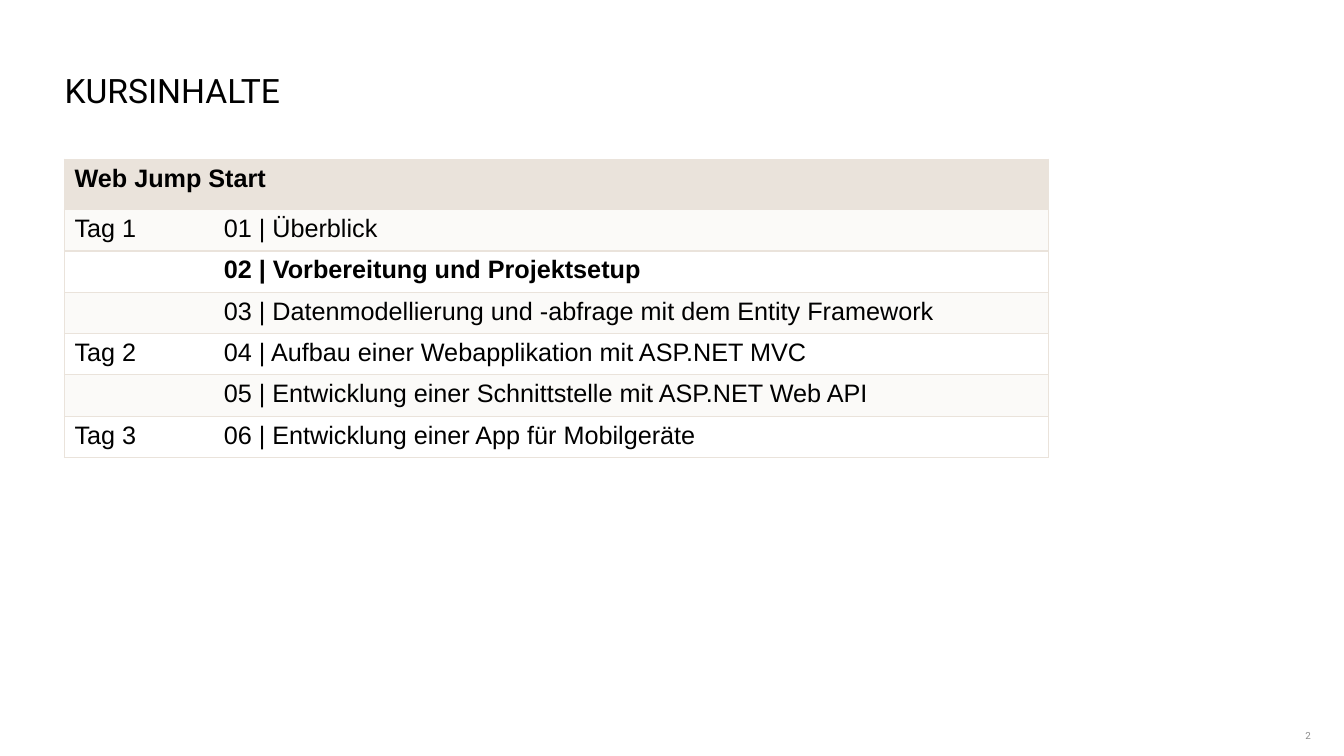
from dataclasses import dataclass

from lxml import etree
from pptx import Presentation
from pptx.dml.color import RGBColor
from pptx.enum.text import MSO_ANCHOR, PP_ALIGN
from pptx.oxml.ns import qn
from pptx.table import _Cell
from pptx.text.text import TextFrame
from pptx.util import Inches, Pt

LEFT, RIGHT = PP_ALIGN.LEFT, PP_ALIGN.RIGHT
BOTTOM, MIDDLE = MSO_ANCHOR.BOTTOM, MSO_ANCHOR.MIDDLE
TITLE_ONLY = 5
COLORS = {
    "text": "000000",
    "number": "8C8C8C",
    "sand": "EAE3DB",
    "band": "FBFAF8",
    "white": "FFFFFF",
}


@dataclass
class Lesson:
    day: str
    topic: str
    current: bool = False


LESSONS = [
    Lesson("Tag 1", "01 | Überblick"),
    Lesson("", "02 | Vorbereitung und Projektsetup", current=True),
    Lesson("", "03 | Datenmodellierung und -abfrage mit dem Entity Framework"),
    Lesson("Tag 2", "04 | Aufbau einer Webapplikation mit ASP.NET MVC"),
    Lesson("", "05 | Entwicklung einer Schnittstelle mit ASP.NET Web API"),
    Lesson("Tag 3", "06 | Entwicklung einer App für Mobilgeräte"),
]


def write(frame: TextFrame, text: str, font: str, size: float,
          color: str = "text", bold: bool = False) -> None:
    """Fill the first paragraph and set its font."""
    paragraph = frame.paragraphs[0]
    if text:
        paragraph.text = text
    paragraph.font.name = font
    paragraph.font.size = Pt(size)
    paragraph.font.bold = bold
    paragraph.font.color.rgb = RGBColor.from_string(COLORS[color])


def set_margins(frame: TextFrame, left: float, top: float,
                right: float, bottom: float) -> None:
    frame.margin_left, frame.margin_top = Inches(left), Inches(top)
    frame.margin_right, frame.margin_bottom = Inches(right), Inches(bottom)


def set_borders(cell: _Cell, visible: str) -> None:
    """Draw the named sides (L, R, T, B) and clear the others."""
    properties = cell._tc.get_or_add_tcPr()
    for index, side in enumerate("LRTB"):
        line = etree.Element(qn(f"a:ln{side}"), w=str(Pt(1)))
        if side in visible:
            fill = etree.SubElement(line, qn("a:solidFill"))
            etree.SubElement(fill, qn("a:srgbClr"), val=COLORS["sand"])
        else:
            etree.SubElement(line, qn("a:noFill"))
        properties.insert(index, line)


def fill_cell(cell: _Cell, text: str, fill: str, borders: str,
              bold: bool = False) -> None:
    cell.fill.solid()
    cell.fill.fore_color.rgb = RGBColor.from_string(COLORS[fill])
    set_borders(cell, borders)
    write(cell.text_frame, text, "Arial", 18, bold=bold)


deck = Presentation()
deck.slide_width, deck.slide_height = Inches(13.33), Inches(7.5)
page = deck.slides.add_slide(deck.slide_layouts[TITLE_ONLY])

# Title
title = page.shapes.title
title.left, title.top = Inches(0.64), Inches(0.25)
title.width, title.height = Inches(12.05), Inches(0.9)
set_margins(title.text_frame, 0, 0.05, 0.1, 0.05)
title.text_frame.vertical_anchor = BOTTOM
write(title.text_frame, "KURSINHALTE", "Roboto", 24)
heading = title.text_frame.paragraphs[0]
heading.alignment = LEFT
heading.line_spacing = 0.9

# Course table
table = page.shapes.add_table(
    len(LESSONS) + 1, 2, Inches(0.64), Inches(1.58), Inches(9.76), Inches(2.96)
).table
for column, width in zip(table.columns, (1.48, 8.28)):
    column.width = Inches(width)
for index, row in enumerate(table.rows):
    row.height = Inches(0.41 if index else 0.5)

header = table.cell(0, 0)
header.merge(table.cell(0, 1))
fill_cell(header, "Web Jump Start", "sand", "LRTB", bold=True)
set_borders(table.cell(0, 1), "RTB")

for number, lesson in enumerate(LESSONS, start=1):
    shade = "band" if number % 2 else "white"
    fill_cell(table.cell(number, 0), lesson.day, shade, "LTB")
    fill_cell(table.cell(number, 1), lesson.topic, shade, "RTB", lesson.current)

# Page number
number_box = page.shapes.add_textbox(
    Inches(12.69), Inches(7.22), Inches(0.31), Inches(0.16))
number_frame = number_box.text_frame
number_frame.word_wrap = True
number_frame.vertical_anchor = MIDDLE
set_margins(number_frame, 0, 0, 0, 0)
write(number_frame, "2", "Roboto", 7, "number")
number_frame.paragraphs[0].alignment = RIGHT

deck.save("out.pptx")
